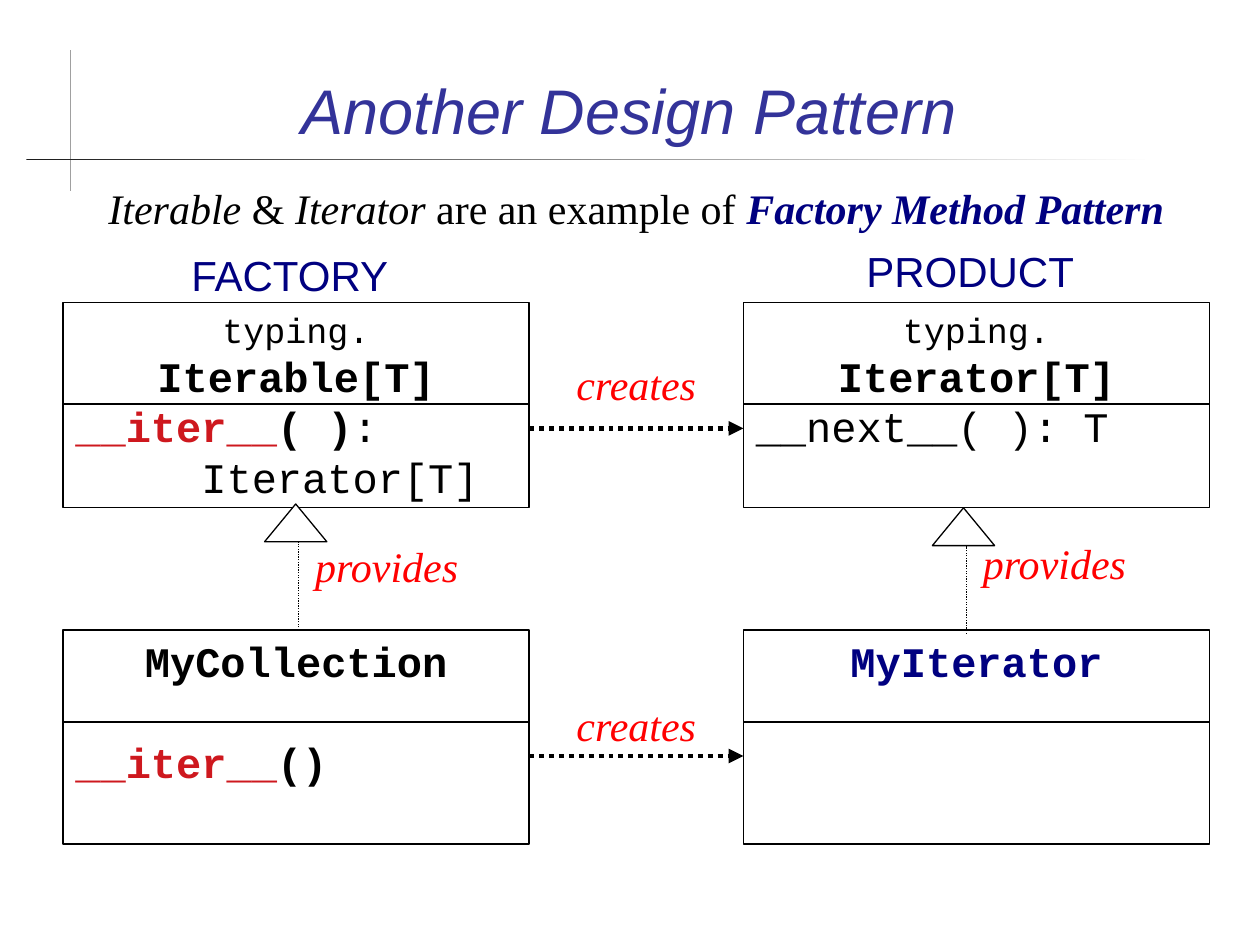
import pptx
import pptx.util
import pptx.dml.color
import pptx.enum.dml
import pptx.enum.shapes
import pptx.enum.text
import pptx.oxml
from pptx.oxml.ns import qn

Pt = pptx.util.Pt
RGB = pptx.dml.color.RGBColor
Kind = pptx.enum.shapes.MSO_SHAPE
Dash = pptx.enum.dml.MSO_LINE
Align = pptx.enum.text.PP_ALIGN
Anchor = pptx.enum.text.MSO_ANCHOR

BLACK = RGB(0, 0, 0)
WHITE = RGB(255, 255, 255)
RED = RGB(255, 0, 0)
CRIMSON = RGB(0xCE, 0x18, 0x1E)
NAVY = RGB(0, 0, 0x80)
INDIGO = RGB(0x33, 0x33, 0x99)
DARK = RGB(0x1C, 0x1C, 0x1C)
GREY = RGB(0xA0, 0xA0, 0xA0)

SANS, SERIF, MONO = "Arial", "Times New Roman", "Courier New"
PITCH = 28.7


def write(par, text, font=MONO, size=24, color=BLACK, bold=False, italic=False):
    run = par.add_run()
    run.text = text
    run.font.name = font
    run.font.size = Pt(size)
    run.font.bold = bold
    run.font.italic = italic
    run.font.color.rgb = color


class Board:
    """Holds the line style and the current slide."""

    def __init__(self, slide, thin=0.75, thick=2.83):
        self.slide = slide
        self.thin = thin
        self.thick = thick

    def shape(self, kind, x, y, w, h):
        shape = self.slide.shapes.add_shape(kind, Pt(x), Pt(y), Pt(w), Pt(h))
        shape.shadow.inherit = False
        shape.line.color.rgb = BLACK
        shape.line.width = Pt(self.thin)
        return shape

    def fill(self, frame, lines, pitch=None):
        """Put lines, each a dict of runs and paragraph settings, in a frame."""
        frame.word_wrap = True
        frame.margin_left = frame.margin_right = Pt(7.2)
        frame.margin_top = frame.margin_bottom = Pt(3.6)
        for i, line in enumerate(lines):
            par = frame.add_paragraph() if i else frame.paragraphs[0]
            par.alignment = line.get("align", Align.CENTER)
            par.space_before = Pt(line.get("gap", 0))
            if pitch:
                par.line_spacing = Pt(line.get("pitch", pitch))
            if "indent" in line:
                par._p.get_or_add_pPr().set("marL", str(Pt(line["indent"])))
            for text, style in line["runs"]:
                write(par, text, **style)

    def label(self, x, y, w, h, *runs, anchor=Anchor.TOP):
        frame = self.slide.shapes.add_textbox(Pt(x), Pt(y), Pt(w), Pt(h)).text_frame
        frame.vertical_anchor = anchor
        self.fill(frame, [{"runs": runs}])

    def box(self, x, y, w, h, split, lines):
        """Draw a class box with a divider at height split."""
        shape = self.shape(Kind.RECTANGLE, x, y, w, h)
        shape.fill.background()
        shape.text_frame.vertical_anchor = Anchor.TOP
        self.fill(shape.text_frame, lines, pitch=PITCH)
        self.line(x, split, x + w, split)

    def line(self, x1, y1, x2, y2, color=BLACK, width=None, dash=None, arrow=False):
        line = self.slide.shapes.add_connector(
            pptx.enum.shapes.MSO_CONNECTOR.STRAIGHT, Pt(x1), Pt(y1), Pt(x2), Pt(y2))
        line.line.color.rgb = color
        line.line.width = Pt(width or self.thin)
        if dash:
            line.line.dash_style = dash
        if arrow:
            tail = pptx.oxml.parse_xml(
                '<a:tailEnd xmlns:a="http://schemas.openxmlformats.org/'
                'drawingml/2006/main" type="triangle"/>')
            line.line._get_or_add_ln().append(tail)
        props = line._element.spPr
        props.append(props.makeelement(qn("a:effectLst"), {}))

    def rule(self, x, y, w):
        """Draw a thin horizontal bar that fades out to the right."""
        bar = self.shape(Kind.RECTANGLE, x, y, w, self.thin)
        bar.line.fill.background()
        bar.fill.gradient()
        bar.fill.gradient_angle = 0
        for stop, color in zip(bar.fill.gradient_stops, (DARK, WHITE)):
            stop.color.rgb = color

    def creates(self, label, arrow):
        self.line(302.4, arrow, 424.8, arrow, width=self.thick,
                  dash=Dash.ROUND_DOT, arrow=True)
        self.label(302.4, label, 122.4, 36, ("creates", NOTE))

    def provides(self, x, y, label):
        """Draw a hollow triangle on a dotted stem, with its label."""
        head = self.shape(Kind.ISOSCELES_TRIANGLE, x, y, 35.6, 21.6)
        head.fill.solid()
        head.fill.fore_color.rgb = WHITE
        self.line(x + 19.4, y + 72, x + 19.4, y + 21.6, dash=Dash.ROUND_DOT)
        self.label(x - 2.2, label, 144, 36, ("provides", NOTE))


NOTE = dict(font=SERIF, color=RED, italic=True)
HEAD = dict(font=SANS, color=NAVY)
BOLD = dict(bold=True)
METHOD = dict(bold=True, color=CRIMSON)
SLANT = dict(font=SERIF, italic=True)
PLAIN = dict(font=SERIF)


def main():
    deck = pptx.Presentation()
    deck.slide_width, deck.slide_height = Pt(720), Pt(540)
    board = Board(deck.slides.add_slide(deck.slide_layouts[6]))

    board.line(40.3, 28.8, 40.3, 109.4, color=GREY)
    board.rule(15.1, 91, 645.1)
    board.label(48.2, 20.4, 622.8, 67,
                ("Another Design Pattern",
                 dict(font=SANS, size=36, color=INDIGO, italic=True)),
                anchor=Anchor.BOTTOM)

    left, right, wide = 36, 424.8, 266.4
    typing = {"runs": [("typing.", dict(size=20))], "pitch": 24.2}
    board.box(right, 172.8, wide, 117.4, 230.8, [
        typing,
        {"runs": [("Iterator[T]", BOLD)]},
        {"runs": [("__next__( ): T", {})], "align": Align.LEFT}])
    board.box(right, 360, wide, 122.4, 412.6, [
        {"runs": [("MyIterator", dict(bold=True, color=NAVY))]}])
    board.box(left, 172.8, wide, 117.4, 230.8, [
        typing,
        {"runs": [("Iterable[T]", BOLD)]},
        {"runs": [("__iter__", METHOD), ("( )", BOLD), (":", {})],
         "align": Align.LEFT},
        {"runs": [("Iterator[T]", {})], "align": Align.LEFT, "indent": 72}])
    board.box(left, 360, wide, 122.4, 412.6, [
        {"runs": [("MyCollection", BOLD)]},
        {"runs": [("__iter__", METHOD), ("()", BOLD)],
         "align": Align.LEFT, "gap": PITCH}])

    board.creates(201.6, 244.8)
    board.creates(396, 432)
    board.label(43.2, 101, 640.8, 40.3,
                ("Iterable", SLANT), (" & ", PLAIN), ("Iterator", SLANT),
                (" are an example of ", PLAIN),
                ("Factory Method Pattern", dict(SLANT, bold=True, color=NAVY)))
    board.provides(151.2, 288, 305.3)
    board.provides(532.8, 290.2, 303.8)
    board.label(43.2, 139, 244.8, 33.8, ("FACTORY", HEAD))
    board.label(432, 136.8, 244.8, 33.8, ("PRODUCT", HEAD))

    deck.save("out.pptx")


if __name__ == "__main__":
    main()
